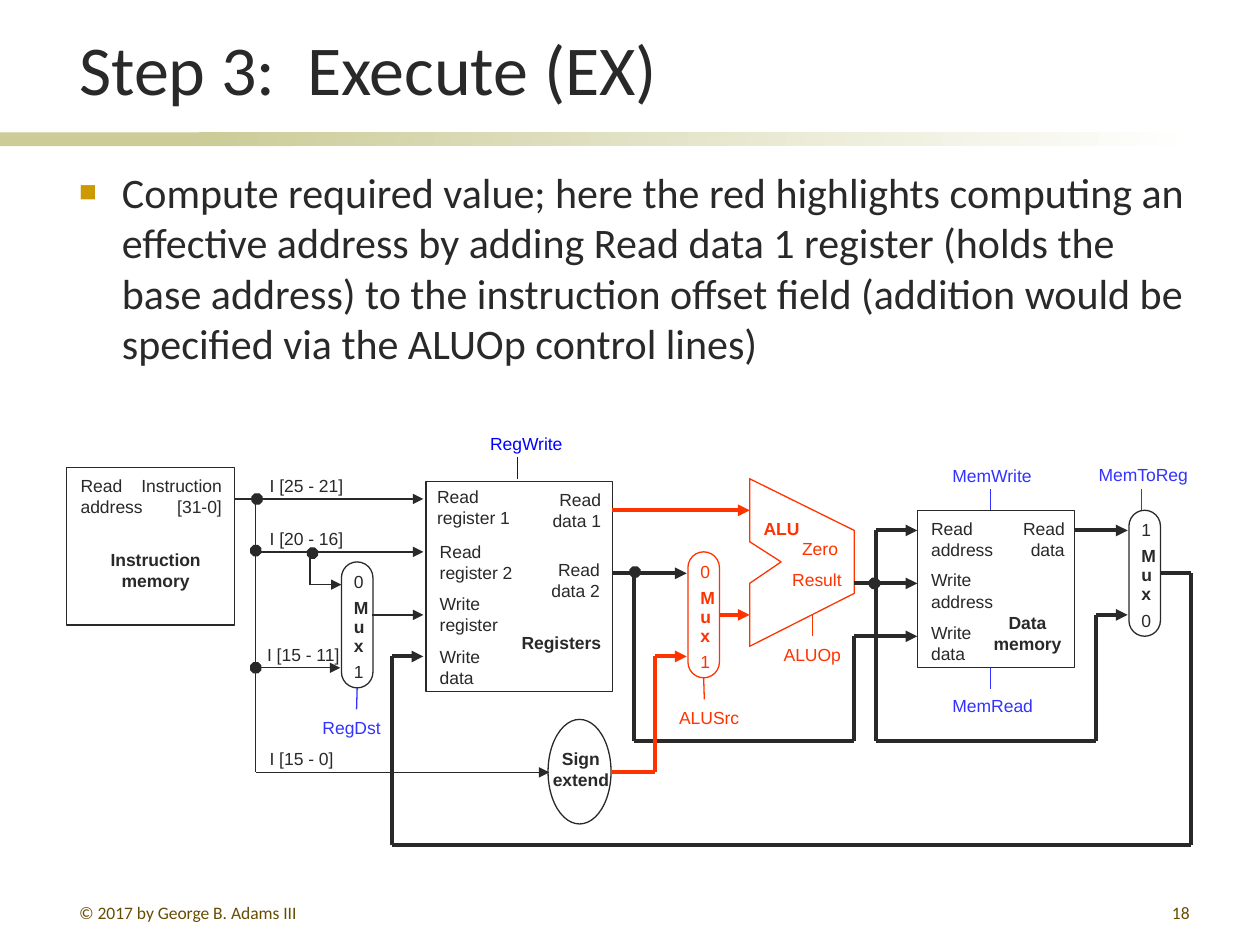
import pptx
import pptx.util
import pptx.dml.color
import pptx.enum.dml
import pptx.enum.shapes
import pptx.enum.text
import pptx.oxml.ns
from lxml import etree

Inches, Pt = pptx.util.Inches, pptx.util.Pt
SHAPE = pptx.enum.shapes.MSO_SHAPE
ALIGN = pptx.enum.text.PP_ALIGN
ANCHOR = pptx.enum.text.MSO_ANCHOR
AUTO = pptx.enum.text.MSO_AUTO_SIZE
qn = pptx.oxml.ns.qn

COLORS = {"ink": "292929", "red": "FF3300", "control": "3333FF", "blue": "0000FF",
          "bar": "CCCC99", "white": "FFFFFF", "bullet": "CC9900", "footer": "664D00"}
THIN, THICK = 0.75, 2.25


def rgb(name):
    return pptx.dml.color.RGBColor.from_string(COLORS[name])


class Diagram:
    """Draws styled elements on one slide."""

    def __init__(self, slide):
        self.s = slide

    def run(self, p, text, size=10, color="ink", bold=False, font="Arial"):
        r = p.add_run()
        r.text = text
        r.font.name, r.font.size, r.font.bold = font, Pt(size), bold
        r.font.color.rgb = rgb(color)

    def title(self, text, x, y, w, h):
        sp = self.s.shapes.title
        sp.left, sp.top, sp.width, sp.height = map(Inches, (x, y, w, h))
        tf = sp.text_frame
        tf.auto_size, tf.vertical_anchor = AUTO.NONE, ANCHOR.BOTTOM
        tf.paragraphs[0].alignment = ALIGN.LEFT
        self.run(tf.paragraphs[0], text, 40, font="Calibri")

    def text(self, text, x, y, w, h, size, color="ink", align=ALIGN.LEFT):
        tf = self.s.shapes.add_textbox(*map(Inches, (x, y, w, h))).text_frame
        tf.word_wrap = True
        p = tf.paragraphs[0]
        p.alignment = align
        self.run(p, text, size, color, font="Calibri")
        return p

    def bullet(self, text, x, y, w, h):
        pPr = self.text(text, x, y, w, h, 24)._p.get_or_add_pPr()
        pPr.set("marL", str(Inches(0.34)))
        pPr.set("indent", str(Inches(-0.34)))
        clr = etree.SubElement(pPr, qn("a:buClr"))
        etree.SubElement(clr, qn("a:srgbClr"), val=COLORS["bullet"])
        etree.SubElement(pPr, qn("a:buSzPct"), val="70000")
        etree.SubElement(pPr, qn("a:buFont"), typeface="Arial")
        etree.SubElement(pPr, qn("a:buChar"), char="■")

    def label(self, lines, x, y, w, color="ink", align=ALIGN.LEFT, bold=False):
        h = 0.11 + 0.17 * len(lines)
        tf = self.s.shapes.add_textbox(*map(Inches, (x, y, w, h))).text_frame
        tf.word_wrap, tf.auto_size = False, AUTO.SHAPE_TO_FIT_TEXT
        tf.margin_left = tf.margin_right = Inches(0.11)
        tf.margin_top = tf.margin_bottom = Inches(0.06)
        for i, line in enumerate(lines):
            p = tf.add_paragraph() if i else tf.paragraphs[0]
            p.alignment = align
            self.run(p, line, 10, color, bold)
        return tf

    def shape(self, kind, x, y, w, h, fill=None, line="ink"):
        sp = self.s.shapes.add_shape(kind, *map(Inches, (x, y, w, h)))
        self.style(sp, fill, line)
        return sp

    def style(self, sp, fill, line):
        sp.shadow.inherit = False
        if fill:
            sp.fill.solid()
            sp.fill.fore_color.rgb = rgb(fill)
        else:
            sp.fill.background()
        if line:
            sp.line.color.rgb, sp.line.width = rgb(line), Pt(THIN)
        else:
            sp.line.fill.background()

    def outline(self, points, color):
        start, *rest = [(Inches(x), Inches(y)) for x, y in points]
        fb = self.s.shapes.build_freeform(*start)
        fb.add_line_segments(rest, close=True)
        self.style(fb.convert_to_shape(), None, color)

    def mux(self, x, y, first, last, color="ink"):
        tf = self.label([first, "M", "u", "x", last], x - 0.01, y + 0.01, 0.36, color)
        for p in tf.paragraphs[1:4]:
            p.runs[0].font.bold = True
        for i in (1, 4):
            tf.paragraphs[i].space_before = Pt(3)
        for i in (2, 3):
            tf.paragraphs[i].line_spacing = 0.9
        sp = self.shape(SHAPE.ROUNDED_RECTANGLE, x, y, 0.25, 1, line=color)
        sp.adjustments[0] = 0.5
        return sp

    def dot(self, x, y):
        self.shape(SHAPE.OCTAGON, x, y, 0.08, 0.08, fill="ink").adjustments[0] = 0.29

    def wire(self, points, color="ink", width=THIN, arrow=False, start=None):
        """Straight segments through points; start is an optional (shape, site)."""
        last = len(points) - 2
        for i, (a, b) in enumerate(zip(points, points[1:])):
            c = self.s.shapes.add_connector(pptx.enum.shapes.MSO_CONNECTOR.STRAIGHT,
                                            *map(Inches, a + b))
            c.line.color.rgb, c.line.width = rgb(color), Pt(width)
            if arrow and i == last:
                etree.SubElement(c.line._get_or_add_ln(), qn("a:tailEnd"), type="triangle")
            etree.SubElement(c._element.spPr, qn("a:effectLst"))
            if start and i == 0:
                c.begin_connect(*start)


def main():
    prs = pptx.Presentation()
    prs.slide_width, prs.slide_height = Inches(10), Inches(7.5)
    d = Diagram(prs.slides.add_slide(prs.slide_layouts[5]))

    # Rule under the title
    d.shape(SHAPE.RECTANGLE, 0, 1.05, 2.33, 0.11, "bar", None)
    fade = d.shape(SHAPE.RECTANGLE, 1.58, 1.05, 7.92, 0.11, "bar", None).fill
    fade.gradient()
    fade.gradient_angle = 0
    for stop, position, color in zip(fade.gradient_stops, (0, 1), ("bar", "white")):
        stop.position, stop.color.rgb = position, rgb(color)

    # Title, body and footer
    d.title("Step 3:  Execute (EX)", 0.53, 0.11, 9, 0.81)
    d.bullet("Compute required value; here the red highlights computing an effective "
             "address by adding Read data 1 register (holds the base address) to the "
             "instruction offset field (addition would be specified via the ALUOp "
             "control lines)", 0.53, 1.27, 9, 4.81)
    d.text("© 2017 by George B. Adams III", 0.53, 7.11, 2.17, 0.21, 10, "footer")
    d.text("18", 7.46, 7.11, 2.08, 0.21, 10, "footer", ALIGN.RIGHT)

    # Functional units
    for box in ((0.53, 3.71, 1.33, 1.25), (3.38, 3.82, 1.48, 1.67), (7.28, 4.05, 1.25, 1.25)):
        d.shape(SHAPE.RECTANGLE, *box)
    d.shape(SHAPE.OVAL, 4.35, 5.71, 0.5, 0.83)
    d.outline([(5.95, 3.8), (6.78, 4.21), (6.78, 4.71), (5.95, 5.13),
               (5.95, 4.63), (6.2, 4.46), (5.95, 4.3)], "red")
    reg_mux = d.mux(2.71, 4.46, "0", "1")
    alu_mux = d.mux(5.46, 4.38, "0", "1", "red")
    mem_mux = d.mux(8.96, 4.05, "1", "0")

    # Port labels
    for lines, x, y, w in (
            (["Read", "address"], 0.53, 3.71, 0.72),
            (["Read", "register 1"], 3.36, 3.8, 0.81),
            (["Read", "register 2"], 3.38, 4.23, 0.81),
            (["Write", "register"], 3.38, 4.65, 0.69),
            (["Write", "data"], 3.38, 5.07, 0.55),
            (["Read", "address"], 7.28, 4.05, 0.72),
            (["Write", "address"], 7.28, 4.46, 0.72),
            (["Write", "data"], 7.28, 4.88, 0.55),
            (["I [25 - 21]"], 2.03, 3.71, 0.82),
            (["I [20 - 16]"], 2.03, 4.13, 0.82),
            (["I [15 - 11]"], 2.01, 5.05, 0.81),
            (["I [15 - 0]"], 2.03, 5.88, 0.74)):
        d.label(lines, x, y, w)
    for lines, x, y, w, color in (
            (["Instruction", "[31-0]"], 0.99, 3.71, 0.88, "ink"),
            (["Read", "data 1"], 4.26, 3.82, 0.62, "ink"),
            (["Read", "data 2"], 4.25, 4.38, 0.62, "ink"),
            (["Read", "data"], 7.99, 4.05, 0.57, "ink"),
            (["Zero"], 6.25, 4.21, 0.51, "red"),
            (["Result"], 6.16, 4.46, 0.63, "red")):
        d.label(lines, x, y, w, color, ALIGN.RIGHT)

    # Unit names
    for lines, x, y, w in ((["Instruction", "memory"], 0.76, 4.3, 0.95),
                           (["Sign", "extend"], 4.27, 5.88, 0.68),
                           (["Data", "memory"], 7.77, 4.8, 0.77)):
        d.label(lines, x, y, w, align=ALIGN.CENTER, bold=True)
    d.label(["Registers"], 4.03, 4.96, 0.86, bold=True)
    d.label(["ALU"], 5.95, 4.05, 0.51, "red", bold=True)

    # Control signals: label box, then its tick
    for name, x, y, w, tick_x, tick_y, color, start in (
            ("RegWrite", 3.78, 3.38, 0.81, 4.11, 3.63, "blue", None),
            ("RegDst", 2.45, 5.63, 0.7, 2.83, 5.46, "control", (reg_mux, 2)),
            ("ALUSrc", 5.28, 5.55, 0.71, 5.59, 5.38, "red", (alu_mux, 2)),
            ("ALUOp", 6.11, 5.05, 0.68, 6.45, 4.88, "red", None),
            ("MemWrite", 7.45, 3.63, 0.86, 7.86, 3.88, "control", None),
            ("MemRead", 7.45, 5.46, 0.87, 7.86, 5.3, "control", None),
            ("MemToReg", 8.61, 3.62, 0.94, 9.06, 3.88, "control", None)):
        d.label([name], x, y, w, color)
        d.wire([(tick_x, tick_y), (tick_x, tick_y + 0.17)], color, start=start)

    # Instruction fields
    d.wire([(2.03, 3.96), (2.03, 6.13), (4.36, 6.13)], arrow=True)
    for x1, x2, y in ((1.86, 3.36, 3.96), (2.03, 3.36, 4.38), (2.03, 2.7, 5.3), (2.95, 3.36, 4.88)):
        d.wire([(x1, y), (x2, y)], arrow=True)
    d.wire([(2.46, 4.39), (2.46, 4.64), (2.71, 4.64)], arrow=True)

    # Data paths
    for points in ([(4.86, 4.55), (5.45, 4.55)],
                   [(5.03, 4.55), (5.03, 5.88), (6.78, 5.88), (6.78, 5.05), (7.28, 5.05)],
                   [(6.78, 4.63), (7.28, 4.63)],
                   [(6.95, 4.21), (7.28, 4.21)],
                   [(6.95, 4.21), (6.95, 5.88), (8.7, 5.88), (8.7, 4.88), (8.95, 4.88)],
                   [(8.53, 4.21), (8.95, 4.21)]):
        d.wire(points, width=THICK, arrow=True)
    d.wire([(9.21, 4.55), (9.45, 4.55), (9.45, 6.71), (3.11, 6.71), (3.11, 5.21), (3.36, 5.21)],
           width=THICK, arrow=True, start=(mem_mux, 3))

    # Highlighted effective-address path
    d.wire([(4.86, 4.05), (5.95, 4.05)], "red", THICK, True)
    d.wire([(4.86, 6.13), (5.2, 6.13), (5.2, 5.21), (5.45, 5.21)], "red", THICK, True)
    d.wire([(5.71, 4.88), (5.95, 4.88)], "red", THICK, True, (alu_mux, 3))

    # Junctions
    for x, y in ((2, 3.92), (1.99, 4.33), (1.99, 5.26), (2.44, 4.35), (5, 4.5), (6.9, 4.59)):
        d.dot(x, y)

    prs.save("out.pptx")


if __name__ == "__main__":
    main()
